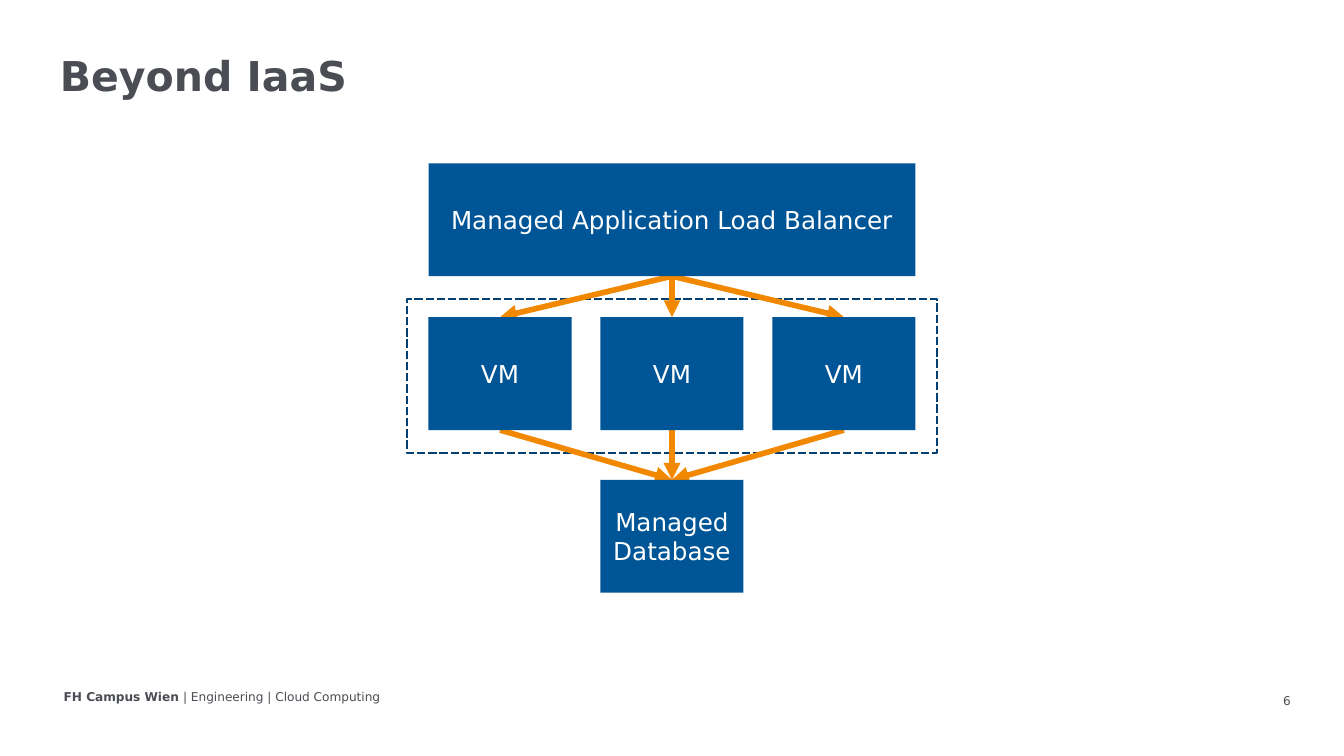
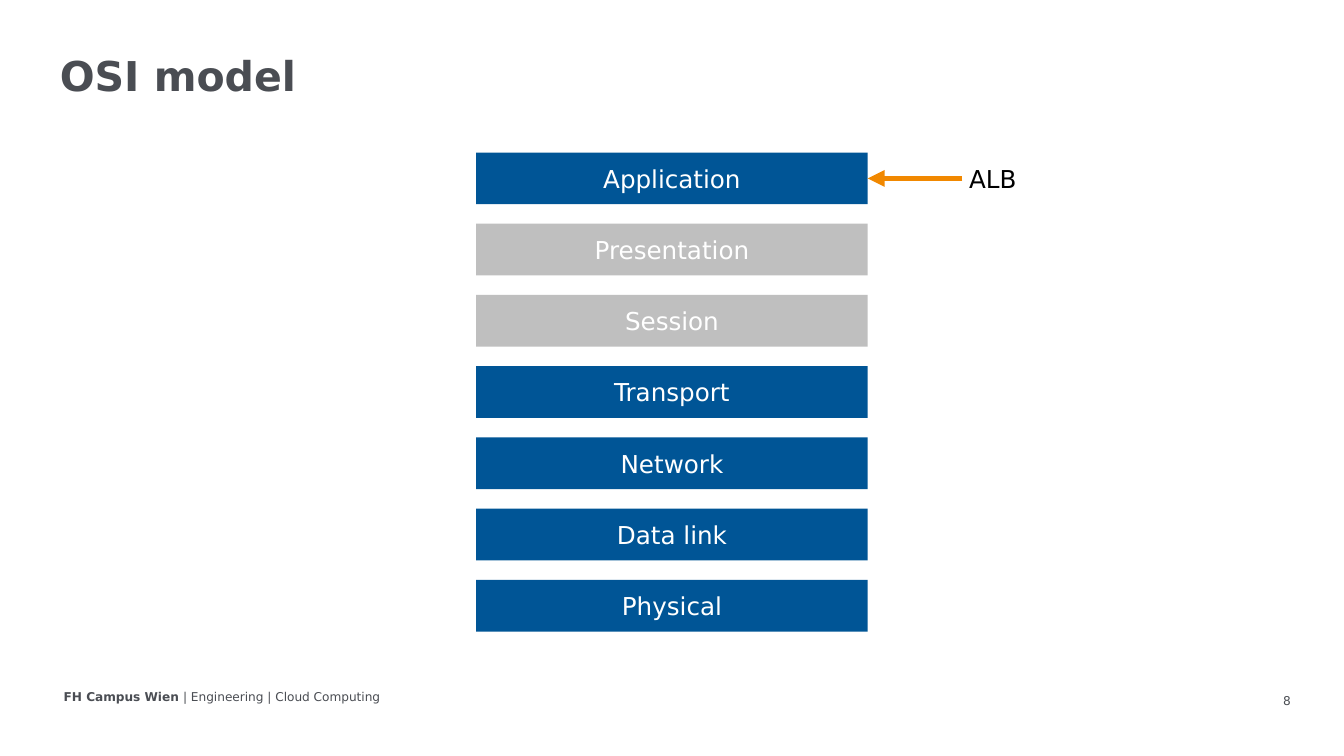
from lxml import etree
from pptx import Presentation
from pptx.dml.color import RGBColor
from pptx.enum.dml import MSO_LINE
from pptx.enum.shapes import MSO_CONNECTOR, MSO_SHAPE
from pptx.enum.text import MSO_ANCHOR, MSO_AUTO_SIZE, PP_ALIGN
from pptx.oxml.ns import qn
from pptx.util import Inches, Pt

# Enum members
RECTANGLE = MSO_SHAPE.RECTANGLE
STRAIGHT = MSO_CONNECTOR.STRAIGHT
DASHED = MSO_LINE.SQUARE_DOT
LEFT, CENTER, RIGHT = PP_ALIGN.LEFT, PP_ALIGN.CENTER, PP_ALIGN.RIGHT
TOP, MIDDLE = MSO_ANCHOR.TOP, MSO_ANCHOR.MIDDLE
NO_AUTOFIT = MSO_AUTO_SIZE.NONE

# Connection sites of a rectangle
SITE_TOP, SITE_LEFT, SITE_BOTTOM, SITE_RIGHT = range(4)

# Theme
BLUE = RGBColor(0x00, 0x55, 0x96)
NAVY = RGBColor(0x00, 0x3F, 0x6F)
ORANGE = RGBColor(0xF1, 0x88, 0x00)
LIGHT_GRAY = RGBColor(0xBF, 0xBF, 0xBF)
DARK_GRAY = RGBColor(0x4A, 0x4D, 0x53)
WHITE = RGBColor(0xFF, 0xFF, 0xFF)
BLACK = RGBColor(0x00, 0x00, 0x00)
FONT = "DejaVu Sans"
TITLE_SIZE, BODY_SIZE, FOOTER_SIZE = 44, 26.4, 13

# Slide geometry in inches
SLIDE_WIDTH, SLIDE_HEIGHT = 20.01, 11.25
MIDDLE_X = SLIDE_WIDTH / 2
RIGHT_EDGE = 19.42
FOOTER_TOP = 10.21
TITLE_ONLY = 5

FOOTER = [("FH Campus Wien ", True), ("| Engineering | Cloud Computing", False)]


def write_text(shape, text, size=BODY_SIZE, color=WHITE, bold=False,
               align=LEFT, anchor=TOP, margins=(0.1, 0.05), line_spacing=None):
    """Fill a shape with one paragraph; text is a string or (text, bold) pairs."""
    frame = shape.text_frame
    frame.auto_size = NO_AUTOFIT
    frame.word_wrap = True
    frame.vertical_anchor = anchor
    frame.margin_left = frame.margin_right = Inches(margins[0])
    frame.margin_top = frame.margin_bottom = Inches(margins[1])
    paragraph = frame.paragraphs[0]
    paragraph.alignment = align
    if line_spacing:
        paragraph.line_spacing = line_spacing
    pieces = [(text, bold)] if isinstance(text, str) else text
    for piece, piece_bold in pieces:
        run = paragraph.add_run()
        run.text = piece
        run.font.name = FONT
        run.font.size = Pt(size)
        run.font.bold = piece_bold
        run.font.color.rgb = color


def add_label(slide, text, left, top, width, height, **text_format):
    label = slide.shapes.add_textbox(*map(Inches, (left, top, width, height)))
    write_text(label, text, **text_format)
    return label


def add_centered_rectangle(slide, center_x, top, width, height):
    shape = slide.shapes.add_shape(
        RECTANGLE, *map(Inches, (center_x - width / 2, top, width, height)))
    shape.shadow.inherit = False
    return shape


def add_box(slide, text, center_x, top, width, height, fill=BLUE):
    box = add_centered_rectangle(slide, center_x, top, width, height)
    box.fill.solid()
    box.fill.fore_color.rgb = fill
    box.line.fill.background()
    write_text(box, text, align=CENTER, anchor=MIDDLE)
    return box


def add_dashed_frame(slide, center_x, top, width, height):
    frame = add_centered_rectangle(slide, center_x, top, width, height)
    frame.fill.background()
    frame.line.color.rgb = NAVY
    frame.line.width = Pt(3)
    frame.line.dash_style = DASHED
    return frame


def add_arrow(slide, start, start_site, end, end_site):
    """Glue an arrow between two shapes."""
    arrow = slide.shapes.add_connector(STRAIGHT, 0, 0, 0, 0)
    arrow.begin_connect(start, start_site)
    arrow.end_connect(end, end_site)
    arrow.line.color.rgb = ORANGE
    arrow.line.width = Pt(6)
    properties = arrow._element.spPr
    etree.SubElement(properties.find(qn("a:ln")), qn("a:tailEnd"), type="triangle")
    etree.SubElement(properties, qn("a:effectLst"))
    return arrow


def add_slide(presentation, title, number):
    """Add a slide with the shared title, footer and page number."""
    slide = presentation.slides.add_slide(presentation.slide_layouts[TITLE_ONLY])
    heading = slide.shapes.title
    heading.left, heading.top = Inches(0.79), Inches(0.78)
    heading.width, heading.height = Inches(RIGHT_EDGE - 0.79), Inches(0.77)
    write_text(heading, title, size=TITLE_SIZE, color=DARK_GRAY, bold=True,
               line_spacing=0.9)
    add_label(slide, FOOTER, 0.85, FOOTER_TOP, 6.78, 0.32,
              size=FOOTER_SIZE, color=DARK_GRAY)
    add_label(slide, str(number), RIGHT_EDGE - 4.5, FOOTER_TOP, 4.5, 0.42,
              size=FOOTER_SIZE, color=DARK_GRAY, align=RIGHT, anchor=MIDDLE,
              margins=(0.2, 0.1))
    return slide


def build_beyond_iaas(presentation):
    slide = add_slide(presentation, "Beyond IaaS", 6)
    box_width, box_height, column_step = 2.13, 1.68, 2.56
    total_width = 2 * column_step + box_width
    frame = add_dashed_frame(slide, MIDDLE_X, 4.45, 7.89, 2.29)

    # Three tiers
    balancer = add_box(slide, "Managed Application Load Balancer",
                       MIDDLE_X, 2.43, total_width, box_height)
    machines = [add_box(slide, "VM", MIDDLE_X + column * column_step, 4.72,
                        box_width, box_height) for column in (-1, 0, 1)]
    database = add_box(slide, "Managed Database", MIDDLE_X, 7.14,
                       box_width, box_height)

    # Arrows lie between the frame and the boxes
    for machine in machines:
        for start, end in ((balancer, machine), (machine, database)):
            arrow = add_arrow(slide, start, SITE_BOTTOM, end, SITE_TOP)
            frame._element.addnext(arrow._element)


def build_osi_model(presentation):
    slide = add_slide(presentation, "OSI model", 8)
    first_top, row_step, row_height = 2.27, 1.06, 0.77
    names = ["Application", "Presentation", "Session", "Transport",
             "Network", "Data link", "Physical"]
    muted = {"Presentation", "Session"}
    layers = [add_box(slide, name, MIDDLE_X, first_top + row * row_step,
                      5.83, row_height, LIGHT_GRAY if name in muted else BLUE)
              for row, name in enumerate(names)]

    # Load balancer label, level with the top layer
    label_height = 0.54
    label = add_label(slide, "ALB", 14.33,
                      first_top + (row_height - label_height) / 2,
                      2.28, label_height, color=BLACK)
    add_arrow(slide, label, SITE_LEFT, layers[0], SITE_RIGHT)


def main():
    presentation = Presentation()
    presentation.slide_width = Inches(SLIDE_WIDTH)
    presentation.slide_height = Inches(SLIDE_HEIGHT)
    build_beyond_iaas(presentation)
    build_osi_model(presentation)
    presentation.save("out.pptx")


if __name__ == "__main__":
    main()
